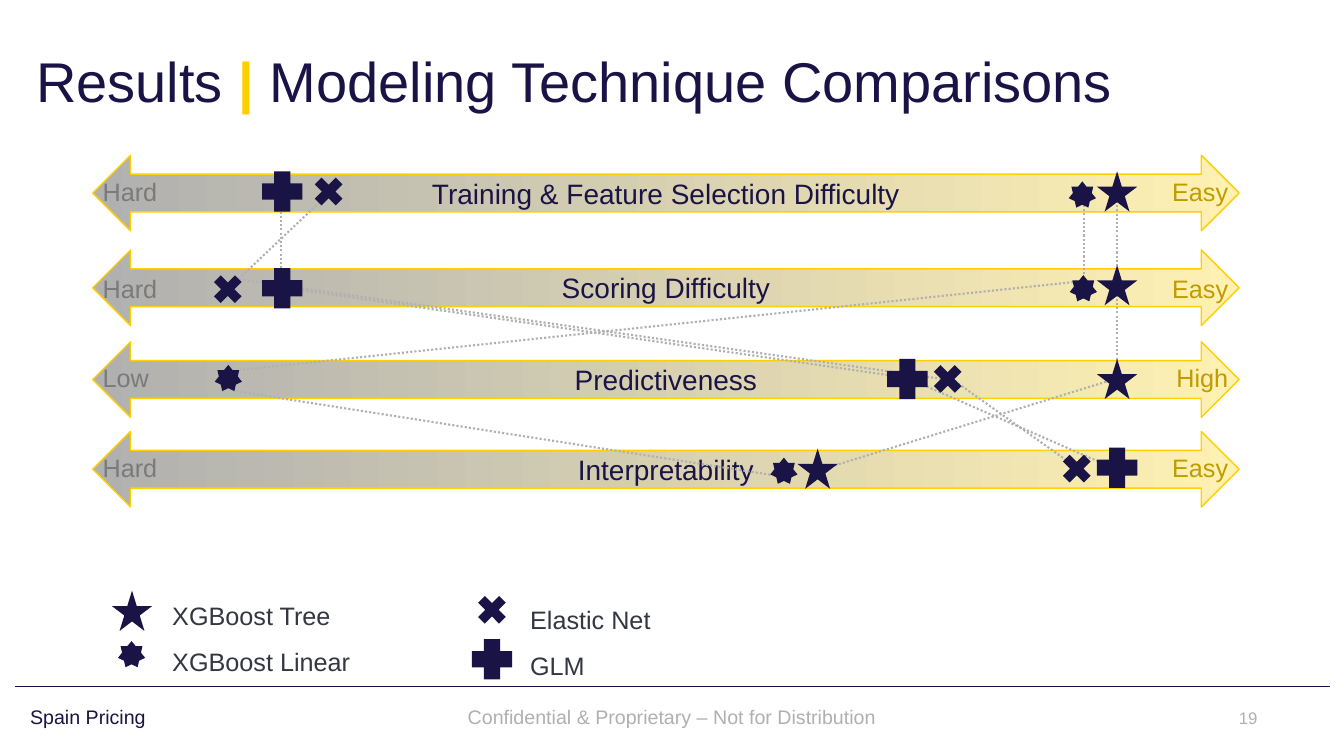
from dataclasses import dataclass

from pptx import Presentation
from pptx.dml.color import RGBColor
from pptx.enum.dml import MSO_LINE
from pptx.enum.shapes import MSO_CONNECTOR, MSO_SHAPE
from pptx.enum.text import MSO_ANCHOR, MSO_AUTO_SIZE, PP_ALIGN
from pptx.oxml.ns import qn
from pptx.shapes.autoshape import Shape
from pptx.text.text import Font
from pptx.util import Inches, Pt

NAVY, GOLD, GRAY = "1A1446", "FFD000", "B0B0B0"
LEFT, CENTER, RIGHT = PP_ALIGN.LEFT, PP_ALIGN.CENTER, PP_ALIGN.RIGHT
TOP, MIDDLE = MSO_ANCHOR.TOP, MSO_ANCHOR.MIDDLE


@dataclass
class Scale:
    name: str
    top: float
    note_top: float
    low: str
    high: str


@dataclass
class Mark:
    """One model's symbol and the left and top of each place it takes."""
    kind: MSO_SHAPE
    width: float
    height: float
    spots: list[tuple[float, float]]


@dataclass
class Label:
    lines: list[str]
    box: tuple[float, float, float, float]
    size: int
    color: str
    align: PP_ALIGN = LEFT
    anchor: MSO_ANCHOR = TOP
    spacing: float = 1.0
    before: int = 0


SCALES = [
    Scale("Training & Feature Selection Difficulty", 1.54, 1.7, "Hard", "Easy"),
    Scale("Scoring Difficulty", 2.48, 2.66, "Hard", "Easy"),
    Scale("Predictiveness", 3.39, 3.55, "Low", "High"),
    Scale("Interpretability", 4.28, 4.44, "Hard", "Easy"),
]

# The last spot of each mark is its legend key.
MARKS = [
    Mark(MSO_SHAPE.MATH_MULTIPLY, 0.4, 0.4,
         [(3.06, 1.7), (2.06, 2.67), (9.2, 3.56), (10.48, 4.45), (4.68, 5.85)]),
    Mark(MSO_SHAPE.STAR_5_POINT, 0.4, 0.4,
         [(10.88, 1.7), (10.88, 2.63), (10.88, 3.56), (7.91, 4.45), (1.11, 5.86)]),
    Mark(MSO_SHAPE.STAR_7_POINT, 0.27, 0.26,
         [(10.6, 1.8), (10.61, 2.73), (2.13, 3.62), (7.64, 4.54), (1.17, 6.36)]),
    Mark(MSO_SHAPE.CROSS, 0.4, 0.4,
         [(2.6, 1.7), (2.6, 2.66), (8.8, 3.56), (10.88, 4.44), (4.68, 6.34)]),
]

LINKS = [
    (2.79, 1.89, 2.79, 2.85), (9.01, 3.75, 2.79, 2.85),
    (3.26, 1.92, 2.26, 2.87), (9, 3.75, 11.08, 4.66),
    (9.42, 3.77, 2.36, 2.77), (9.3, 3.66, 10.68, 4.64),
    (10.75, 1.95, 10.75, 2.73), (11.08, 1.91, 11.08, 2.68),
    (10.73, 2.79, 2.38, 3.67), (11.08, 2.88, 11.08, 3.66),
    (7.64, 4.71, 2.33, 3.88), (11.09, 3.75, 8.11, 4.67),
]

LABELS = [
    Label(["Spain Pricing"], (0.2, 6.91, 4.37, 0.42), 14, NAVY,
          anchor=MIDDLE, spacing=0.9, before=10),
    Label(["19"], (11.88, 6.97, 0.69, 0.3), 12, GRAY, RIGHT),
    Label(["Confidential & Proprietary – Not for Distribution"],
          (3.42, 6.92, 6.49, 0.4), 14, GRAY, CENTER, MIDDLE, 0.9, 10),
    Label(["XGBoost Tree", "XGBoost Linear"], (1.61, 5.76, 2.35, 0.95),
          18, "343741", spacing=1.5),
    Label(["Elastic Net", "GLM"], (5.16, 5.8, 6.67, 0.95),
          18, "343741", spacing=1.5),
]

deck = Presentation()
deck.slide_width, deck.slide_height = Inches(13.33), Inches(7.5)
slide = deck.slides.add_slide(deck.slide_layouts[5])
shapes = slide.shapes


def paint(code: str) -> RGBColor:
    return RGBColor.from_string(code)


def style(font: Font, size: int, color: str) -> None:
    font.name, font.size = "Arial", Pt(size)
    font.color.rgb = paint(color)


def add_title() -> None:
    title = shapes.title
    title.left, title.top = Inches(0.26), Inches(0.18)
    title.width, title.height = Inches(12.83), Inches(1.32)
    frame = title.text_frame
    frame.auto_size, frame.vertical_anchor = MSO_AUTO_SIZE.NONE, MIDDLE
    para = frame.paragraphs[0]
    para.alignment, para.line_spacing = LEFT, 0.9
    style(para.font, 40, NAVY)
    for text in ("Results ", "|", " Modeling Technique Comparisons"):
        run = para.add_run()
        run.text = text
        if text == "|":
            run.font.bold = True
            run.font.color.rgb = paint(GOLD)


def add_label(label: Label) -> None:
    frame = shapes.add_textbox(*map(Inches, label.box)).text_frame
    frame.word_wrap, frame.vertical_anchor = True, label.anchor
    frame.text = "\n".join(label.lines)
    for para in frame.paragraphs:
        para.alignment, para.line_spacing = label.align, label.spacing
        para.space_before = Pt(label.before)
        style(para.font, label.size, label.color)


def add_shape(kind: MSO_SHAPE, left: float, top: float,
              width: float, height: float) -> Shape:
    shape = shapes.add_shape(kind, *map(Inches, (left, top, width, height)))
    shape.shadow.inherit = False
    return shape


def add_arrow(scale: Scale) -> None:
    arrow = add_shape(MSO_SHAPE.LEFT_RIGHT_ARROW, 0.92, scale.top, 11.37, 0.75)
    arrow.fill.gradient()
    arrow.fill.gradient_angle = 0
    for stop, color in zip(arrow.fill.gradient_stops, (GRAY, "FFF1B2")):
        stop.color.rgb = paint(color)
    arrow.line.color.rgb, arrow.line.width = paint(GOLD), Pt(1)
    frame = arrow.text_frame
    frame.text, frame.vertical_anchor = scale.name, MIDDLE
    para = frame.paragraphs[0]
    para.alignment = CENTER
    style(para.font, 20, NAVY)


def add_line(ends: tuple[float, float, float, float], color: str,
             width: float, dash: MSO_LINE = MSO_LINE.SOLID) -> None:
    line = shapes.add_connector(MSO_CONNECTOR.STRAIGHT, *map(Inches, ends))
    line.line.color.rgb, line.line.width = paint(color), Pt(width)
    line.line.dash_style = dash
    props = line._element.spPr
    props.append(props.makeelement(qn("a:effectLst"), {}))


def add_marks(mark: Mark) -> None:
    for left, top in mark.spots:
        shape = add_shape(mark.kind, left, top, mark.width, mark.height)
        shape.fill.solid()
        shape.fill.fore_color.rgb = paint(NAVY)
        shape.line.fill.background()
        if mark.kind == MSO_SHAPE.CROSS:
            shape.adjustments[0] = 0.3


def main() -> None:
    add_title()
    add_line((0.15, 6.81, 13.19, 6.81), NAVY, 1)
    for scale in SCALES:
        add_arrow(scale)
    for scale in SCALES:
        top = scale.note_top
        add_label(Label([scale.low], (0.92, top, 1.2, 0.4), 18, "7A7A7A"))
        add_label(Label([scale.high], (11.08, top, 1.2, 0.4), 18, "BF9C00", RIGHT))
    for label in LABELS:
        add_label(label)
    for link in LINKS:
        add_line(link, GRAY, 1.5, MSO_LINE.ROUND_DOT)
    for mark in MARKS:
        add_marks(mark)
    deck.save("out.pptx")


if __name__ == "__main__":
    main()
